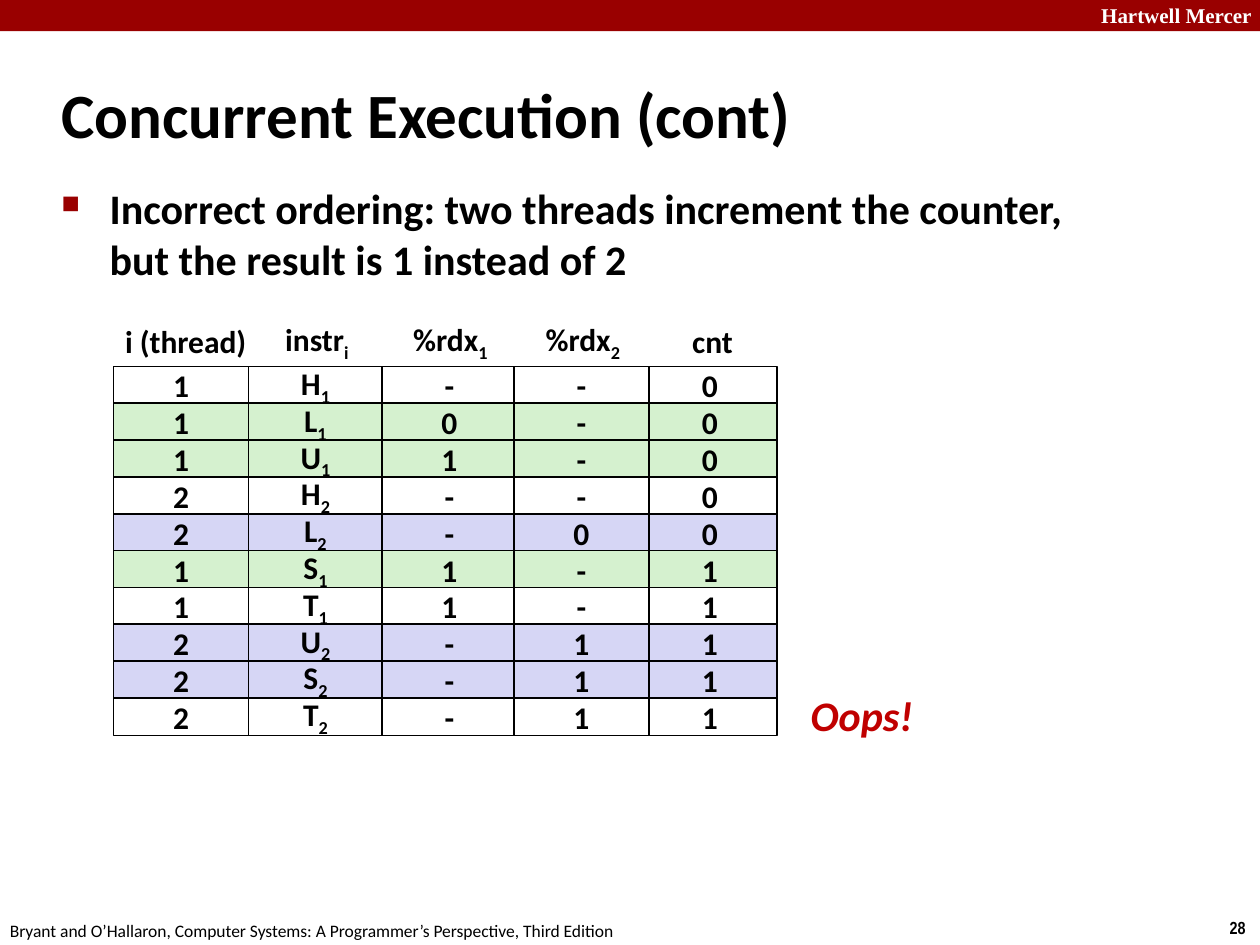
from lxml import etree
from pptx import Presentation
from pptx import util as u
from pptx.dml import color
from pptx.enum import shapes, text
from pptx.oxml import ns

BLACK, WHITE, RED = "000000", "FFFFFF", "990000"
GREEN, BLUE = "D5F1CF", "D6D6F5"
MID = text.MSO_ANCHOR.MIDDLE
HEADS = [("i (thread)", 2.26, 2.97), ("instr_i", 5.49, 1.8), ("%rdx_1", 8.05, 2.06),
         ("%rdx_2", 10.72, 2.06), ("cnt", 13.69, 1.35)]
LEFTS = [2.29, 5, 7.7, 10.36, 12.95]
ORDER = [1, 0, 2, 4, 3]
STEPS = [
    (WHITE, "1 H_1 - - 0"),
    (GREEN, "1 L_1 0 - 0"),
    (GREEN, "1 U_1 1 - 0"),
    (WHITE, "2 H_2 - - 0"),
    (BLUE, "2 L_2 - 0 0"),
    (GREEN, "1 S_1 1 - 1"),
    (WHITE, "1 T_1 1 - 1"),
    (BLUE, "2 U_2 - 1 1"),
    (BLUE, "2 S_2 - 1 1"),
    (WHITE, "2 T_2 - 1 1"),
]


def rgb(code):
    """Turn a hex string into a colour."""
    return color.RGBColor.from_string(code)


def write(frame, words, size, hue=BLACK, face="Calibri", bold=True, slant=False):
    """Add runs to the first paragraph, with a subscript after an underscore."""
    para = frame.paragraphs[0]
    for i, part in enumerate(words.split("_")):
        run = para.add_run()
        run.text = part
        font = run.font
        font.name, font.size = face, u.Pt(size)
        font.bold, font.italic = bold, slant
        font.color.rgb = rgb(hue)
        if i:
            run._r.get_or_add_rPr().set("baseline", "-25000")
    return para


def label(slide, box, words, size, wrap=False, grow=True, mid=False, **style):
    """Add a text box and return its paragraph."""
    frame = slide.shapes.add_textbox(*map(u.Cm, box)).text_frame
    frame.word_wrap = wrap
    if grow:
        frame.auto_size = text.MSO_AUTO_SIZE.SHAPE_TO_FIT_TEXT
    para = write(frame, words, size, **style)
    if mid:
        frame.vertical_anchor = MID
        para.alignment = text.PP_ALIGN.CENTER
    return para


def block(slide, box, fill, edge=None):
    """Add a filled rectangle and return it."""
    rect = slide.shapes.add_shape(shapes.MSO_SHAPE.RECTANGLE, *map(u.Cm, box))
    rect.shadow.inherit = False
    rect.fill.solid()
    rect.fill.fore_color.rgb = rgb(fill)
    if edge:
        rect.line.color.rgb = rgb(edge)
        rect.line.width = u.Pt(1)
    else:
        rect.line.fill.background()
    return rect


def cell(slide, box, fill, words):
    """Add one bordered cell of the trace."""
    frame = block(slide, box, fill, BLACK).text_frame
    frame.word_wrap = True
    frame.vertical_anchor = MID
    write(frame, words, 18).alignment = text.PP_ALIGN.CENTER


def bullet(para, indent):
    """Give a paragraph a red square bullet with a hanging indent."""
    props = para._p.get_or_add_pPr()
    props.set("marL", str(u.Cm(indent)))
    props.set("indent", str(-u.Cm(indent)))
    hue = etree.SubElement(props, ns.qn("a:buClr"))
    etree.SubElement(hue, ns.qn("a:srgbClr"), val=RED)
    etree.SubElement(props, ns.qn("a:buSzPct"), val="60000")
    etree.SubElement(props, ns.qn("a:buChar"), char="■")


def frame(slide):
    """Add the top bar, the page number and the footer."""
    block(slide, (0, 0, 25.4, 0.63), RED)
    label(slide, (21.95, -0.08, 3.63, 0.76), "Hartwell Mercer", 12, wrap=True,
          hue=WHITE, face="Times New Roman")
    label(slide, (24.54, 18.36, 0.86, 0.69), "28", 10, face="Arial Narrow")
    label(slide, (-0.05, 18.42, 12.9, 0.69),
          "Bryant and O’Hallaron, Computer Systems: A Programmer’s Perspective, Third Edition",
          10, bold=False)


def trace(slide):
    """Add the grid of steps and its column heads."""
    for col in ORDER:
        for row, (fill, line) in enumerate(STEPS):
            box = LEFTS[col], 7.39 + 0.742 * row, 2.72, 0.76
            cell(slide, box, fill, line.split()[col])
    for words, left, width in HEADS:
        label(slide, (left, 6.37, width, 1.02), words, 18, mid=True)


def main():
    """Build the slide and save it."""
    deck = Presentation()
    deck.slide_width, deck.slide_height = u.Cm(25.4), u.Cm(19.05)
    slide = deck.slides.add_slide(deck.slide_layouts[6])
    frame(slide)
    title = label(slide, (0.99, 1.22, 21.08, 2.11), "Concurrent Execution (cont)", 36,
                  wrap=True, grow=False, mid=True)
    title.alignment = text.PP_ALIGN.LEFT
    point = label(slide, (0.99, 3.56, 21.95, 2.39),
                  "Incorrect ordering: two threads increment the counter, "
                  "but the result is 1 instead of 2", 24, wrap=True, grow=False)
    point.space_before = u.Pt(4.8)
    bullet(point, 0.97)
    trace(slide)
    label(slide, (16.08, 13.77, 2.59, 1.27), "Oops!", 24, mid=True,
          hue="C00000", slant=True)
    deck.save("out.pptx")


main()
